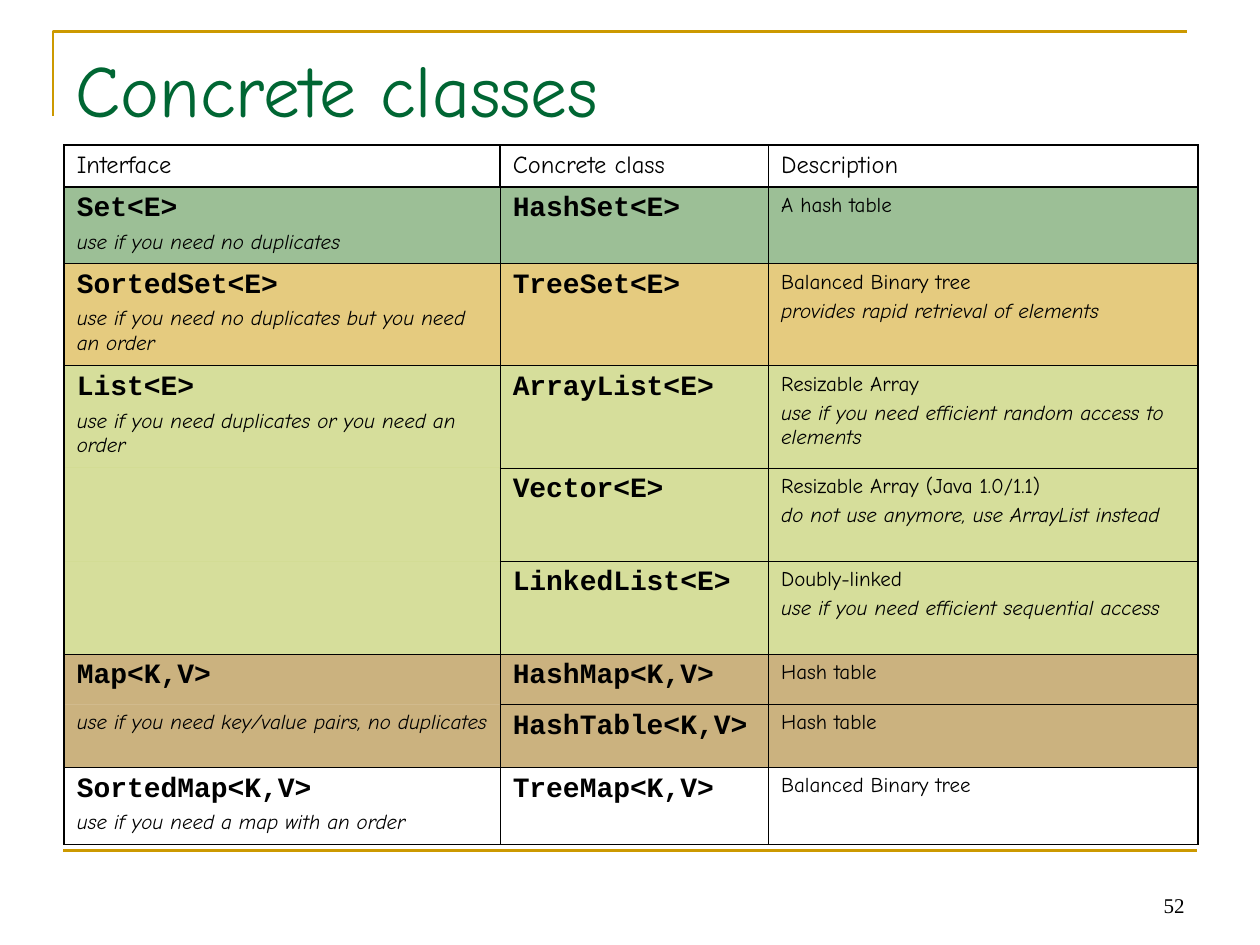
from dataclasses import dataclass

from lxml.etree import SubElement
from pptx import Presentation
from pptx.dml.color import RGBColor
from pptx.enum.text import MSO_ANCHOR as Anchor, PP_ALIGN as Align
from pptx.enum.shapes import MSO_CONNECTOR as Connector
from pptx.oxml import parse_xml
from pptx.oxml.ns import nsdecls, qn
from pptx.util import Pt

SCALE = 9144  # EMU per px, 100 px to the inch


@dataclass(frozen=True)
class Theme:
    ink: str = "000000"
    title: str = "006633"
    rule: str = "CC9900"
    green: str = "3B812F"
    gold: str = "CC9900"
    lime: str = "AFBF39"
    brown: str = "996600"
    hand: str = "Comic Neue"
    code: str = "Courier New"
    serif: str = "Times New Roman"
    title_size: int = 42
    code_size: int = 16
    header_size: int = 14
    note_size: int = 12
    rule_width: float = 1.5
    thick: float = 1.08
    thin: float = 0.45


THEME = Theme()


@dataclass(frozen=True)
class ClassRow:
    height: int
    tint: str
    interface: str
    advice: str
    concrete: str
    summary: str
    detail: str = ""
    joined: bool = False  # the interface cell continues the one above


COLUMNS = (346, 213, 341)
HEADER = ("Interface", "Concrete class", "Description")
HEADER_HEIGHT = 33
ROWS = (
    ClassRow(61, THEME.green, "Set<E>", "use if you need no duplicates",
             "HashSet<E>", "A hash table"),
    ClassRow(81, THEME.gold, "SortedSet<E>",
             "use if you need no duplicates but you need an order",
             "TreeSet<E>", "Balanced Binary tree",
             "provides rapid retrieval of elements"),
    ClassRow(81, THEME.lime, "List<E>",
             "use if you need duplicates or you need an order",
             "ArrayList<E>", "Resizable Array",
             "use if you need efficient random access to elements"),
    ClassRow(74, THEME.lime, "", "", "Vector<E>",
             "Resizable Array (Java 1.0/1.1)",
             "do not use anymore, use ArrayList instead", joined=True),
    ClassRow(74, THEME.lime, "", "", "LinkedList<E>", "Doubly-linked",
             "use if you need efficient sequential access", joined=True),
    ClassRow(40, THEME.brown, "Map<K,V>", "", "HashMap<K,V>", "Hash table"),
    ClassRow(50, THEME.brown, "",
             "use if you need key/value pairs, no duplicates",
             "HashTable<K,V>", "Hash table", joined=True),
    ClassRow(61, "", "SortedMap<K,V>", "use if you need a map with an order",
             "TreeMap<K,V>", "Balanced Binary tree"),
)


def px(length: int) -> int:
    return length * SCALE


def write(frame, text: str, *, font: str = THEME.hand,
          size: int = THEME.note_size, color: str = THEME.ink,
          bold: bool = False, italic: bool = False, align=Align.LEFT) -> None:
    """Fill the first paragraph, or add one below the text already there."""
    if not text:
        return
    para = frame.paragraphs[0]
    if para.runs:
        para = frame.add_paragraph()
        para.space_before = Pt(3)
    para.alignment = align
    span = para.add_run()
    span.text = text
    span.font.name, span.font.size = font, Pt(size)
    span.font.bold, span.font.italic = bold, italic
    span.font.color.rgb = RGBColor.from_string(color)


def write_code(frame, text: str) -> None:
    write(frame, text, font=THEME.code, size=THEME.code_size, bold=True)


def style_rule(shape) -> None:
    shape.line.color.rgb = RGBColor.from_string(THEME.rule)
    shape.line.width = Pt(THEME.rule_width)


def tint_cell(cell, tint: str) -> None:
    """Half-transparent fill, or none."""
    if not tint:
        cell.fill.background()
        return
    cell.fill.solid()
    cell.fill.fore_color.rgb = RGBColor.from_string(tint)
    color = cell._tc.tcPr.find(".//" + qn("a:srgbClr"))
    SubElement(color, qn("a:alpha"), val="50000")


def border_cell(cell, **widths: float) -> None:
    """Sides L, R, T, B in points; zero leaves the side open."""
    for index, (side, width) in enumerate(widths.items()):
        paint = (f'<a:solidFill><a:srgbClr val="{THEME.ink}"/></a:solidFill>'
                 if width else "<a:noFill/>")
        line = parse_xml(f'<a:ln{side} {nsdecls("a")} w="{int(Pt(width))}">'
                         f"{paint}</a:ln{side}>")
        cell._tc.tcPr.insert(index, line)


def edge(outer: bool, is_open: bool = False) -> float:
    if is_open:
        return 0
    return THEME.thick if outer else THEME.thin


def add_class_table(slide) -> None:
    heights = [HEADER_HEIGHT] + [row.height for row in ROWS]
    last_row, last_column = len(ROWS), len(COLUMNS) - 1
    table = slide.shapes.add_table(
        len(heights), len(COLUMNS), px(51), px(115),
        px(sum(COLUMNS)), px(sum(heights))).table
    table.first_row = table.horz_banding = False
    for column, width in zip(table.columns, COLUMNS):
        column.width = px(width)
    for line, height in zip(table.rows, heights):
        line.height = px(height)

    # Wording
    for column, label in enumerate(HEADER):
        write(table.cell(0, column).text_frame, label, size=THEME.header_size)
    for number, row in enumerate(ROWS, 1):
        interface, concrete, about = (
            table.cell(number, column).text_frame for column in range(3))
        write_code(interface, row.interface)
        write(interface, row.advice, italic=True)
        write_code(concrete, row.concrete)
        write(about, row.summary)
        write(about, row.detail, italic=True)

    # Fills and borders
    for number in range(last_row + 1):
        head = number == 0
        for column in range(last_column + 1):
            cell = table.cell(number, column)
            tint_cell(cell, "" if head else ROWS[number - 1].tint)
            first = column == 0
            open_top = first and not head and ROWS[number - 1].joined
            open_bottom = (first and number < last_row
                           and ROWS[number].joined)
            border_cell(cell,
                        L=edge(head or first),
                        R=edge(head or column == last_column),
                        T=edge(number <= 1, open_top),
                        B=edge(head or number == last_row, open_bottom))


def main() -> None:
    deck = Presentation()
    deck.slide_width, deck.slide_height = px(1000), px(750)
    slide = deck.slides.add_slide(deck.slide_layouts[5])

    # Corner bracket and bottom rule
    builder = slide.shapes.build_freeform(42, 92, scale=SCALE)
    builder.add_line_segments([(42, 25), (942, 25)], close=False)
    bracket = builder.convert_to_shape()
    bracket.shadow.inherit = False
    bracket.fill.background()
    style_rule(bracket)
    rule = slide.shapes.add_connector(
        Connector.STRAIGHT, px(50), px(675), px(950), px(675))
    SubElement(rule._element.spPr, qn("a:effectLst"))
    style_rule(rule)

    # Page number
    box = slide.shapes.add_textbox(px(717), px(683), px(233), px(50))
    box.text_frame.word_wrap = True
    box.text_frame.vertical_anchor = Anchor.BOTTOM
    write(box.text_frame, "52", font=THEME.serif, align=Align.RIGHT)

    # Title
    title = slide.shapes.title
    title.left, title.top, title.width, title.height = map(
        px, (50, 30, 900, 125))
    title.text_frame.vertical_anchor = Anchor.TOP
    write(title.text_frame, "Concrete classes", size=THEME.title_size,
          color=THEME.title)

    add_class_table(slide)
    deck.save("out.pptx")


if __name__ == "__main__":
    main()
